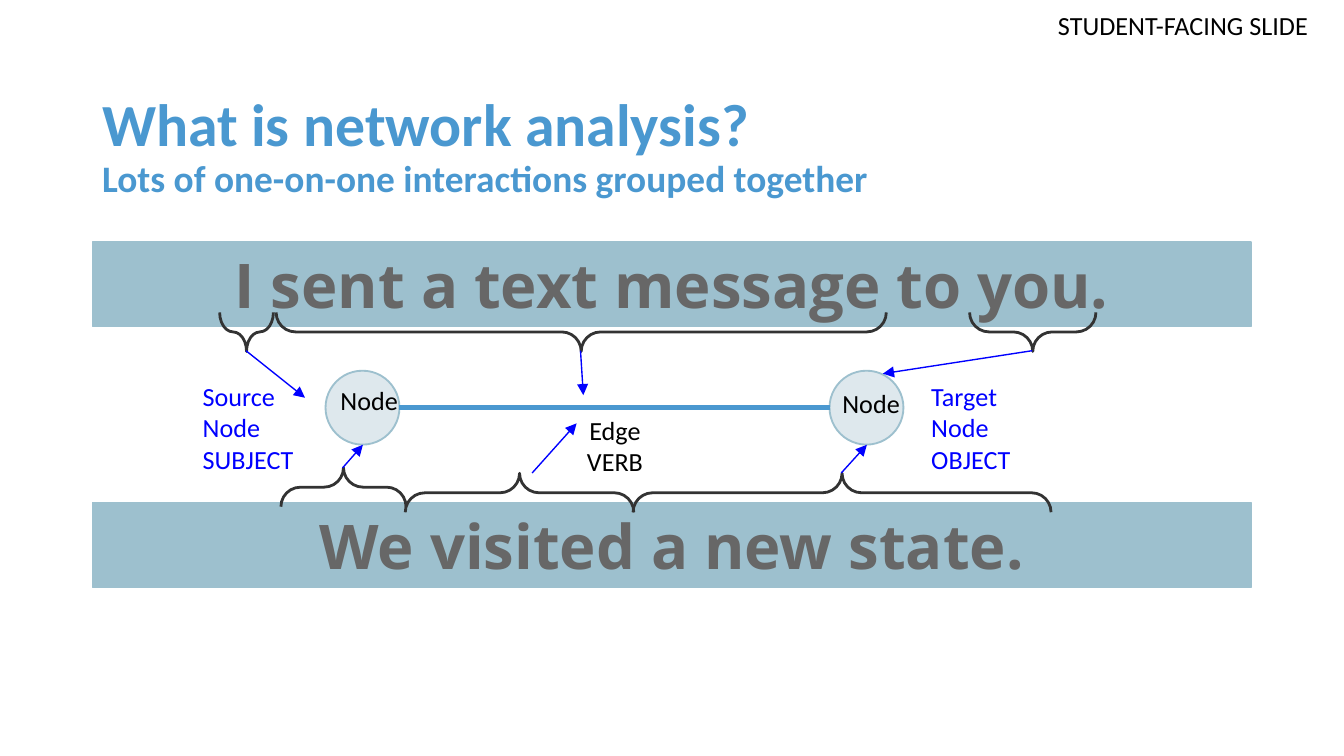
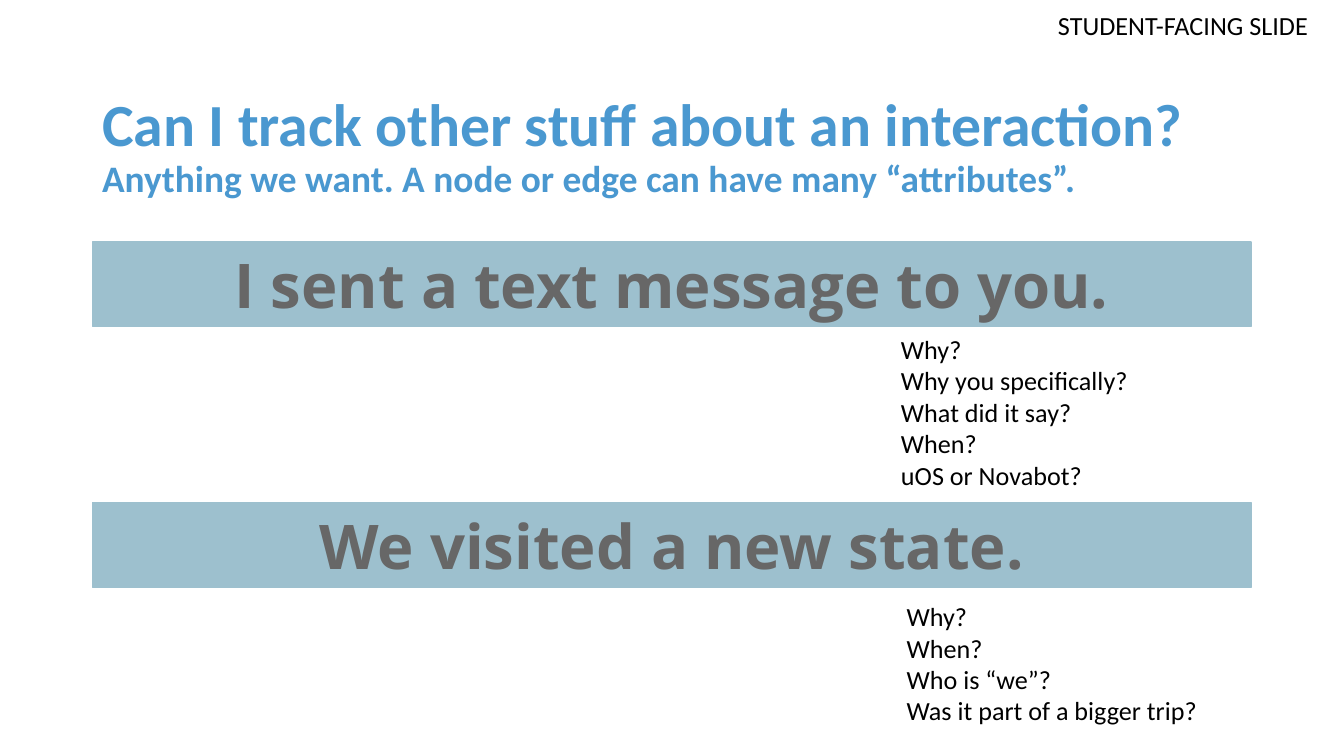
from pptx import Presentation
from pptx.dml.color import RGBColor
from pptx.enum.shapes import MSO_CONNECTOR, MSO_SHAPE
from pptx.enum.text import MSO_ANCHOR, PP_ALIGN
from pptx.oxml.ns import qn
from pptx.util import Pt
from lxml.etree import SubElement

# Shared style
SKY, TEAL, PALE = "4A98D0", "9DC0CE", "DEE8ED"
GREY, DARK, BLUE, BLACK = "676767", "333333", "0000FF", "000000"
LEFT, WIDE = 49.7, 620.6
BANDS = [(129.6, "I sent a text message to you."),
         (269.3, "We visited a new state.")]
NODE = 39.6
MID = 218.4


def color(code):
    return RGBColor.from_string(code)


def write(shape, text, size=14, font="Calibri", ink=BLACK, bold=False,
          align=PP_ALIGN.LEFT, anchor=MSO_ANCHOR.TOP, pad=(7.2, 7.2), space=None):
    """Fill a shape with one paragraph per line; size may be a list."""
    frame = shape.text_frame
    frame.word_wrap = True
    frame.vertical_anchor = anchor
    frame.margin_left = frame.margin_right = Pt(pad[0])
    frame.margin_top = frame.margin_bottom = Pt(pad[1])
    lines = text.split("\n")
    sizes = size if isinstance(size, list) else [size] * len(lines)
    for i, (line, pts) in enumerate(zip(lines, sizes)):
        para = frame.add_paragraph() if i else frame.paragraphs[0]
        para.alignment = align
        if space:
            para.line_spacing = space
        run = para.add_run()
        run.text = line
        run.font.size, run.font.name, run.font.bold = Pt(pts), font, bold
        run.font.color.rgb = color(ink)


class Deck:
    def __init__(self):
        self.prs = Presentation()
        self.prs.slide_width, self.prs.slide_height = Pt(720), Pt(405)

    def page(self, title):
        """Start a slide with its tag, title and two sentence bands."""
        self.slide = self.prs.slides.add_slide(self.prs.slide_layouts[6])
        self.text("STUDENT-FACING SLIDE", 538.6, -2.2, 169.2, 24.5,
                  align=PP_ALIGN.RIGHT)
        self.text(title, LEFT, 21.6, WIDE, 115.2, size=[32, 20], ink=SKY,
                  bold=True, anchor=MSO_ANCHOR.MIDDLE, pad=(5, 2.9), space=0.9)
        for top, words in BANDS:
            band = self.shape(MSO_SHAPE.RECTANGLE, LEFT, top, WIDE, 45.4,
                              fill=TEAL, line=TEAL, weight=0.75)
            write(band, words, size=33, font="Open Sans", ink=GREY, bold=True,
                  align=PP_ALIGN.CENTER, anchor=MSO_ANCHOR.MIDDLE, pad=(5, 2.9))

    def text(self, words, x, y, w, h, **style):
        box = self.slide.shapes.add_textbox(Pt(x), Pt(y), Pt(w), Pt(h))
        write(box, words, **style)

    def shape(self, kind, x, y, w, h, fill=None, line=DARK, weight=1.0):
        item = self.slide.shapes.add_shape(kind, Pt(x), Pt(y), Pt(w), Pt(h))
        item.shadow.inherit = False
        if fill:
            item.fill.solid()
            item.fill.fore_color.rgb = color(fill)
        else:
            item.fill.background()
        item.line.color.rgb = color(line)
        item.line.width = Pt(weight)
        return item

    def brace(self, x, y, span, turn):
        """Draw a brace lying flat, centred on x, y."""
        deep = 20.9
        item = self.shape(MSO_SHAPE.LEFT_BRACE, x - deep / 2, y - span / 2,
                          deep, span, weight=1.5)
        item.adjustments[0] = item.adjustments[1] = 0.5
        item.rotation = turn

    def line(self, x1, y1, x2, y2, ink=BLUE, weight=0.75, arrow=True):
        item = self.slide.shapes.add_connector(
            MSO_CONNECTOR.STRAIGHT, Pt(x1), Pt(y1), Pt(x2), Pt(y2))
        item.line.color.rgb = color(ink)
        item.line.width = Pt(weight)
        if arrow:
            SubElement(item.line._get_or_add_ln(), qn("a:tailEnd"), type="triangle")
        SubElement(item._element.spPr, qn("a:effectLst"))


def network(deck):
    deck.page("What is network analysis?\n"
              "Lots of one-on-one interactions grouped together")

    # Two nodes and their edge
    source, target = 174.4, 444.4
    for x in (source, target):
        deck.shape(MSO_SHAPE.OVAL, x, MID - NODE / 2, NODE, NODE,
                   fill=PALE, line=TEAL)
    deck.line(target, MID, source + NODE, MID, ink=SKY, weight=3, arrow=False)

    # Braces below the first sentence and above the second
    upper = [(132.1, 28.8), (311.4, 326.9), (553.3, 67.7)]
    lower = [(184, 261, 67), (278.3, 264, 122.4), (451.1, 264, 223.9)]
    for x, span in upper:
        deck.brace(x, 177.8, span, 270)
    for x, y, span in lower:
        deck.brace(x, y, span, 90)

    # Labels
    deck.text("Node", 163.4, 198.7, 56.9, 28.8, align=PP_ALIGN.RIGHT)
    deck.text("Node", 444.2, 200.2, 56.9, 28.8)
    deck.text("Edge\nVERB", 301, 214.6, 56.9, 28.8, align=PP_ALIGN.CENTER)
    for x, words in ((101.5, "Source Node\nSUBJECT"),
                     (491.8, "Target Node\nOBJECT")):
        deck.text(words, x, 196.6, 67.7, 62.6, ink=BLUE)

    # Arrows from the braces to the parts of the network
    for ends in ((131.8, 187.9, 163.4, 213.1), (553, 187.9, 473, 200.2),
                 (183.6, 250.6, 194.4, 238.3), (450.7, 253.4, 464.4, 238.3),
                 (311, 187.9, 312.5, 211.7), (285.1, 253.4, 308.9, 226.8)):
        deck.line(*ends)


def traits(deck):
    deck.page("Can I track other stuff about an interaction?\n"
              "Anything we want. A node or edge can have many “attributes”.")
    # Questions for each sentence
    deck.text("Why?\nWhen?\nWho is “we”?\nWas it part of a bigger trip?",
              478.6, 314.6, 192.2, 90.4)
    deck.text("Why?\nWhy you specifically?\nWhat did it say?\nWhen?\n"
              "uOS or Novabot?", 475.6, 171.4, 192.2, 95)


def main():
    deck = Deck()
    network(deck)
    traits(deck)
    deck.prs.save("out.pptx")


if __name__ == "__main__":
    main()
